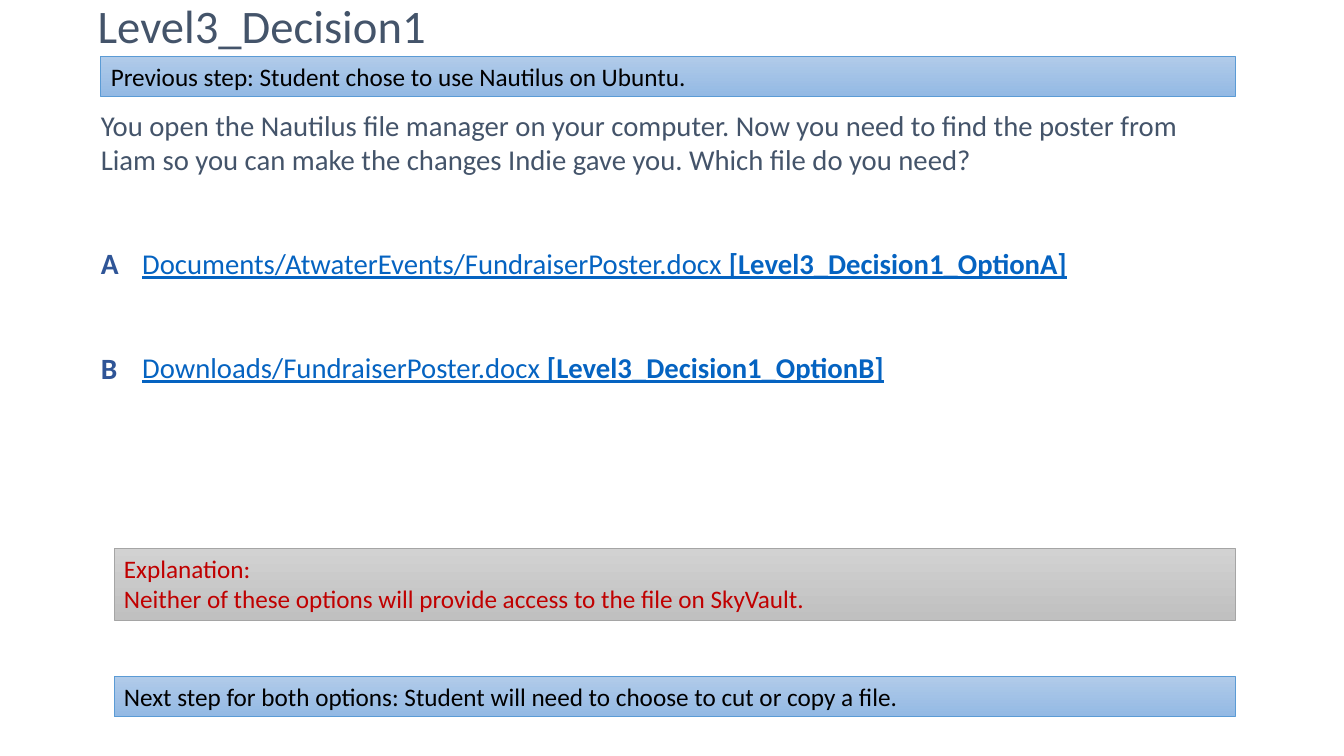
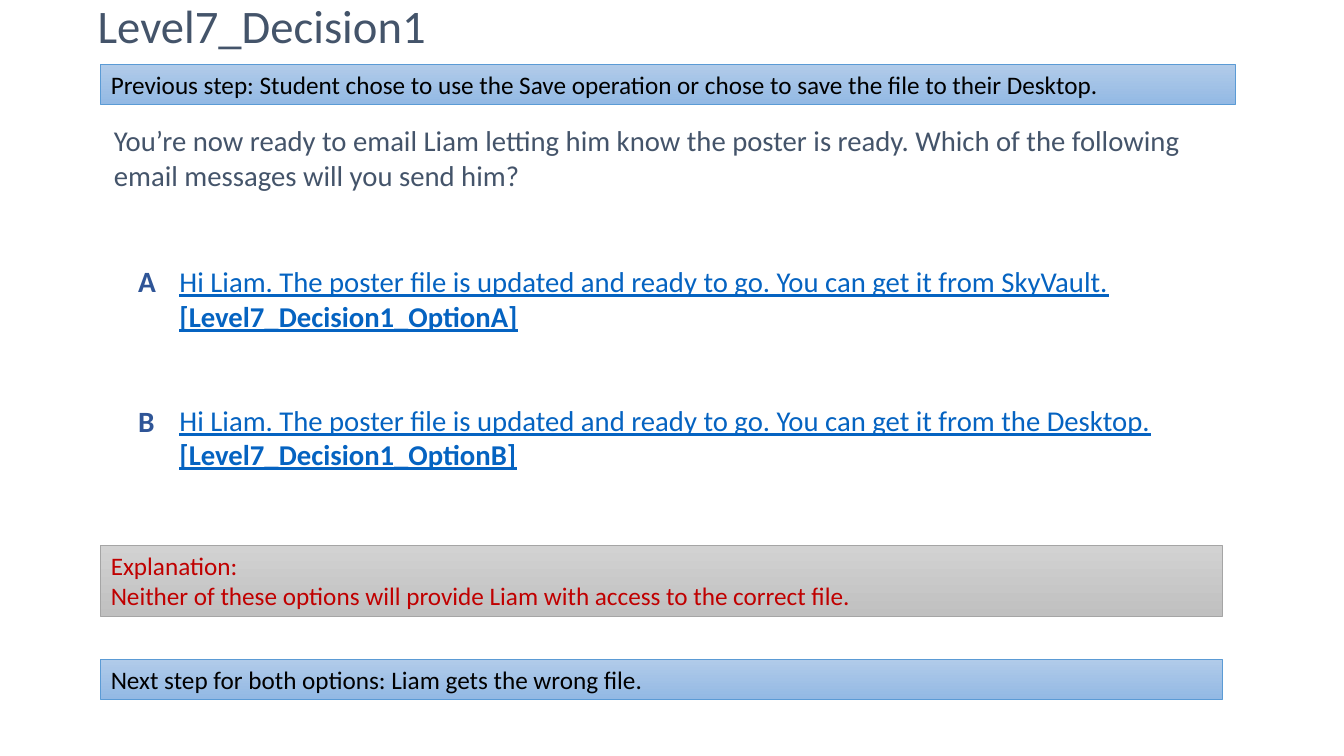
import pptx
import pptx.util
import pptx.dml.color
import pptx.enum.text
import pptx.enum.shapes

RGBColor = pptx.dml.color.RGBColor
Inches = pptx.util.Inches
Pt = pptx.util.Pt
Anchor = pptx.enum.text.MSO_ANCHOR
AutoSize = pptx.enum.text.MSO_AUTO_SIZE

SLATE = RGBColor(0x44, 0x54, 0x6A)
LETTER_BLUE = RGBColor(0x2F, 0x55, 0x97)
LINK_BLUE = RGBColor(0x05, 0x63, 0xC1)
BLACK = RGBColor(0x00, 0x00, 0x00)
RED = RGBColor(0xC0, 0x00, 0x00)
BLUE_BAND = (RGBColor(0xB1, 0xCB, 0xE9), RGBColor(0x93, 0xB9, 0xE4), RGBColor(0x5B, 0x9B, 0xD5))
GREY_BAND = (RGBColor(0xD2, 0xD2, 0xD2), RGBColor(0xC0, 0xC0, 0xC0), RGBColor(0xA5, 0xA5, 0xA5))

FONT = "Calibri"
WIDTH, HEIGHT = 13.33, 7.5
MARGIN, RIGHT = 0.87, 12.26
LINE = 0.35
OPTION_GAP = 0.69
LETTER_WIDTH = 0.41
TOP_BAND = (1, 11.25)
LOWER_BAND_WIDTH = 11.12
BAND_HEIGHT = {1: 0.4, 2: 0.71}
WIDE_INSETS = (0.13, 0.07)
PLAIN_INSETS = (0.1, 0.05)

DECISIONS = [
    {
        "title": "Level3_Decision1",
        "previous": (0.56, "Previous step: Student chose to use Nautilus on Ubuntu."),
        "question": (MARGIN, 1, "You open the Nautilus file manager on your computer. Now you need to find "
                     "the poster from Liam so you can make the changes Indie gave you. "
                     "Which file do you need?"),
        "options_at": (MARGIN, 2.36),
        "option_lines": 1,
        "options": [
            ("A", "Documents/AtwaterEvents/FundraiserPoster.docx ", "[Level3_Decision1_OptionA]"),
            ("B", "Downloads/FundraiserPoster.docx ", "[Level3_Decision1_OptionB]"),
        ],
        "lower_left": 1.13,
        "explanation": (5.44, "Neither of these options will provide access to the file on SkyVault."),
        "next": (6.71, "Next step for both options: Student will need to choose to cut or copy a file."),
    },
    {
        "title": "Level7_Decision1",
        "previous": (0.64, "Previous step: Student chose to use the Save operation or chose to save "
                     "the file to their Desktop."),
        "question": (1, 1.15, "You’re now ready to email Liam letting him know the poster is ready. "
                     "Which of the following email messages will you send him?"),
        "options_at": (1.24, 2.54),
        "option_lines": 2,
        "options": [
            ("A", "Hi Liam. The poster file is updated and ready to go. You can get it from SkyVault. ",
             "[Level7_Decision1_OptionA]"),
            ("B", "Hi Liam. The poster file is updated and ready to go. You can get it from the Desktop. ",
             "[Level7_Decision1_OptionB]"),
        ],
        "lower_left": 1,
        "explanation": (5.41, "Neither of these options will provide Liam with access to the correct file."),
        "next": (6.54, "Next step for both options: Liam gets the wrong file."),
    },
]


def write(shape, paragraphs, size, color, insets, bold=None, underline=None, gap=0):
    frame = shape.text_frame
    frame.word_wrap = True
    frame.margin_left = frame.margin_right = Inches(insets[0])
    frame.margin_top = frame.margin_bottom = Inches(insets[1])
    for index, runs in enumerate(paragraphs):
        paragraph = frame.paragraphs[0] if index == 0 else frame.add_paragraph()
        paragraph.alignment = pptx.enum.text.PP_ALIGN.LEFT
        if index and gap:
            paragraph.space_before = Inches(gap)
        font = paragraph.font
        font.name, font.size, font.bold, font.underline = FONT, Pt(size), bold, underline
        font.color.rgb = color
        for position, text in enumerate(runs):
            run = paragraph.add_run()
            run.text = text
            if position:
                run.font.bold = True
    return frame


def add_text(slide, left, top, width, height, paragraphs, size, color, insets=WIDE_INSETS, **style):
    box = slide.shapes.add_textbox(Inches(left), Inches(top), Inches(width), Inches(height))
    return write(box, paragraphs, size, color, insets, **style)


def add_band(slide, left, top, width, lines, palette, color):
    band = slide.shapes.add_shape(
        pptx.enum.shapes.MSO_SHAPE.RECTANGLE,
        Inches(left), Inches(top), Inches(width), Inches(BAND_HEIGHT[len(lines)]))
    band.shadow.inherit = False
    light, dark, border = palette
    band.fill.gradient()
    band.fill.gradient_angle = 270
    for stop, shade, position in zip(band.fill.gradient_stops, (light, dark), (0, 1)):
        stop.color.rgb = shade
        stop.position = position
    band.line.color.rgb = border
    band.line.width = Pt(0.5)
    frame = write(band, [[line] for line in lines], 18, color, PLAIN_INSETS)
    frame.vertical_anchor = Anchor.TOP
    frame.auto_size = AutoSize.SHAPE_TO_FIT_TEXT


def add_options(slide, decision):
    left, top = decision["options_at"]
    options = decision["options"]
    pitch = decision["option_lines"] * LINE + OPTION_GAP
    option_left = left + LETTER_WIDTH
    add_text(slide, option_left, top + 0.01, RIGHT - option_left, pitch * len(options),
             [option[1:] for option in options], 20.5, LINK_BLUE, underline=True, gap=OPTION_GAP)
    for index, option in enumerate(options):
        add_text(slide, left, top + index * pitch, 0.7, 0.5, [option[:1]], 21, LETTER_BLUE, bold=True)


def add_decision(presentation, decision):
    slide = presentation.slides.add_slide(presentation.slide_layouts[6])
    title = add_text(slide, MARGIN, 0.01, RIGHT - MARGIN, 0.55, [[decision["title"]]],
                     33.3, SLATE, PLAIN_INSETS)
    title.vertical_anchor = Anchor.MIDDLE
    title.paragraphs[0].line_spacing = 0.9

    left, top, question = decision["question"]
    add_text(slide, left, top, RIGHT - left, 1, [[question]], 20.5, SLATE)
    add_options(slide, decision)

    top, previous = decision["previous"]
    add_band(slide, TOP_BAND[0], top, TOP_BAND[1], [previous], BLUE_BAND, BLACK)
    left = decision["lower_left"]
    top, explanation = decision["explanation"]
    add_band(slide, left, top, LOWER_BAND_WIDTH, ["Explanation:", explanation], GREY_BAND, RED)
    top, following = decision["next"]
    add_band(slide, left, top, LOWER_BAND_WIDTH, [following], BLUE_BAND, BLACK)


def main():
    presentation = pptx.Presentation()
    presentation.slide_width = Inches(WIDTH)
    presentation.slide_height = Inches(HEIGHT)
    for decision in DECISIONS:
        add_decision(presentation, decision)
    presentation.save("out.pptx")


if __name__ == "__main__":
    main()
